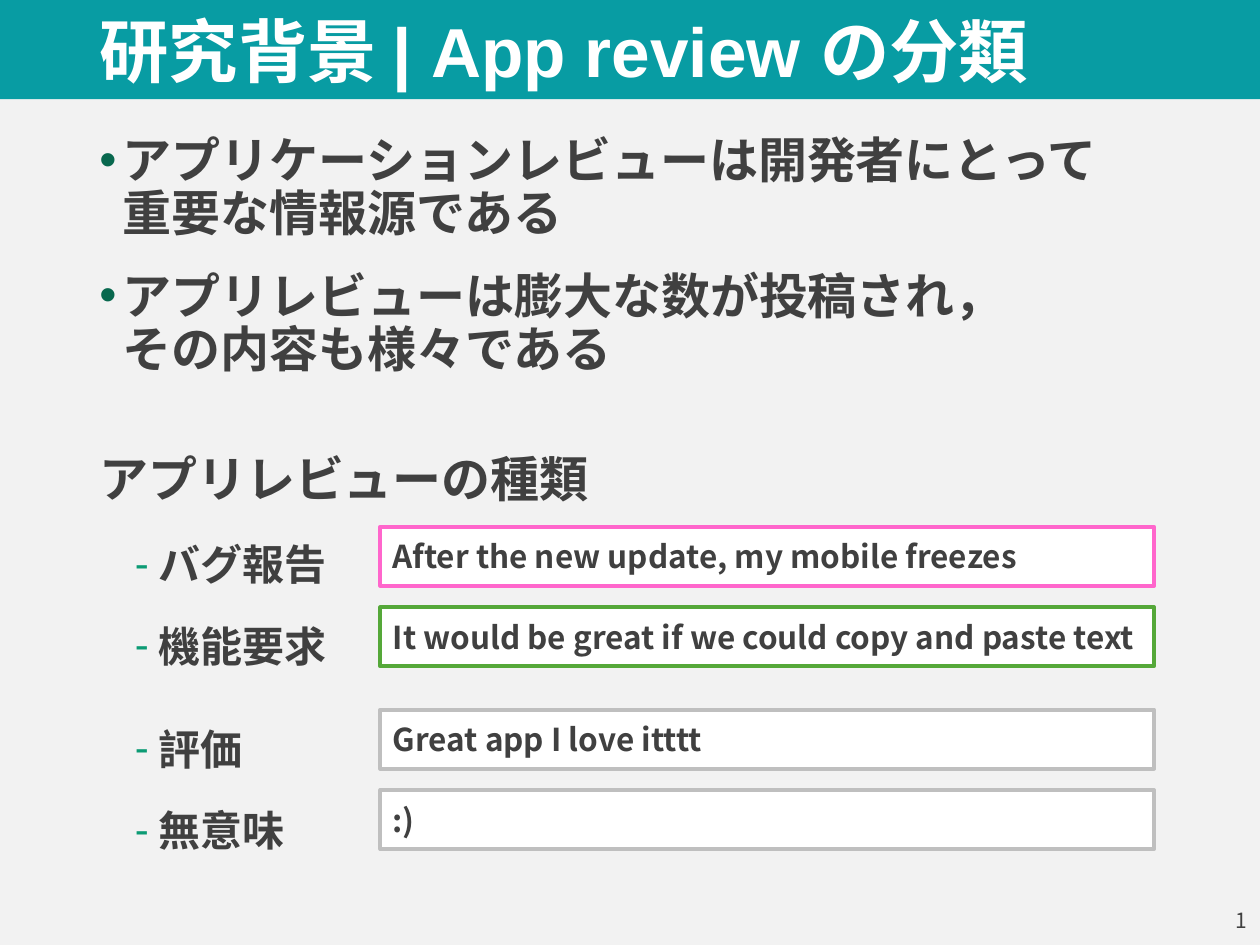
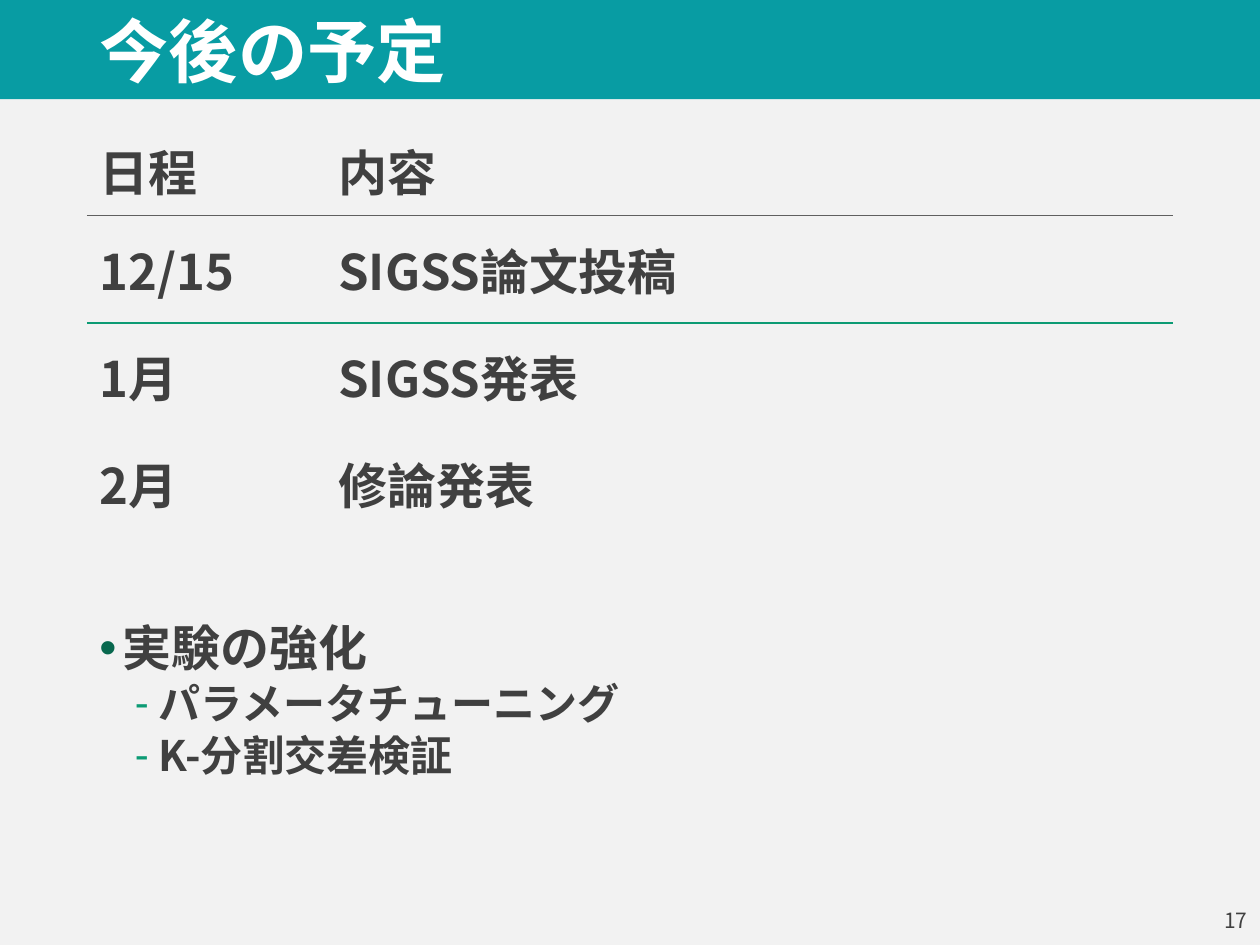
from lxml.etree import SubElement
from pptx import Presentation
from pptx.dml.color import RGBColor
from pptx.enum.shapes import MSO_SHAPE
from pptx.enum.text import MSO_ANCHOR, MSO_AUTO_SIZE, PP_ALIGN
from pptx.oxml.ns import qn
from pptx.util import Pt

COLORS = {
    "page": "F2F2F2", "band": "089CA3", "white": "FFFFFF", "text": "404040",
    "dot": "08684E", "dash": "0C9B74", "rule": "606060",
    "pink": "FF66CC", "green": "55A839", "gray": "BFBFBF",
}
FONT = "Noto Sans CJK JP"
TITLE_FONT = "Arial"
LEFT, WIDTH = 49.7, 620.6
NO_TABLE_STYLE = "{2D5ABB26-0587-4C30-8999-92F81FD0307C}"

# Level: size, line height, left margin, bullet and bullet colour
LEVELS = {
    "point": (28, 30.3, 13.5, "•", "dot"),
    "heading": (28, 30.3, 0, None, None),
    "item": (24, 26, 33.75, "-", "dash"),
}
HANGING = 13.5

# Review kind, example, outline, extra space above
REVIEWS = [
    ("バグ報告", "After the new update, my mobile freezes", "pink", 0),
    ("機能要求", "It would be great if we could copy and paste text", "green", 0),
    ("評価", "Great app I love itttt", "gray", 12.5),
    ("無意味", ":)", "gray", 0),
]
SCHEDULE = [
    ("日程", "内容"),
    ("12/15", "SIGSS論文投稿"),
    ("1月", "SIGSS発表"),
    ("2月", "修論発表"),
]


def rgb(name):
    return RGBColor.from_string(COLORS[name])


def format_runs(para, size, color="text", bold=True, font=FONT):
    for span in para.runs:
        span.font.size = Pt(size)
        span.font.bold = bold
        span.font.name = font
        span.font.color.rgb = rgb(color)
        east_asian = SubElement(span.font._element, qn("a:ea"))
        east_asian.set("typeface", FONT)


def add_color(parent, color):
    SubElement(parent, qn("a:srgbClr")).set("val", COLORS[color])


def add_bullet(para, margin, mark, color):
    properties = para._p.get_or_add_pPr()
    properties.set("marL", str(Pt(margin)))
    properties.set("indent", str(-Pt(HANGING)))
    add_color(SubElement(properties, qn("a:buClr")), color)
    SubElement(properties, qn("a:buFont")).set("typeface", TITLE_FONT)
    SubElement(properties, qn("a:buChar")).set("char", mark)


def add_rectangle(page, left, top, width, height, fill, outline=None):
    shape = page.shapes.add_shape(
        MSO_SHAPE.RECTANGLE, Pt(left), Pt(top), Pt(width), Pt(height))
    shape.shadow.inherit = False
    shape.fill.solid()
    shape.fill.fore_color.rgb = rgb(fill)
    if outline:
        shape.line.color.rgb = rgb(outline)
        shape.line.width = Pt(2.25)
    else:
        shape.line.fill.background()
    return shape


def add_page(deck, title, number):
    page = deck.slides.add_slide(deck.slide_layouts[5])

    # Band behind the title
    band = add_rectangle(page, 0, 0, 720, 56.7, "band")
    page.shapes._spTree.insert(2, band._element)

    # Title
    box = page.shapes.title
    box.left, box.top, box.width, box.height = Pt(LEFT), Pt(6.3), Pt(WIDTH), Pt(50.4)
    frame = box.text_frame
    frame.text = title
    frame.auto_size = MSO_AUTO_SIZE.NONE
    frame.vertical_anchor = MSO_ANCHOR.MIDDLE
    para = frame.paragraphs[0]
    para.alignment = PP_ALIGN.LEFT
    para.line_spacing = 0.9
    format_runs(para, 39.6, "white", font=TITLE_FONT)

    # Page number
    box = page.shapes.add_textbox(Pt(558), Pt(511.2), Pt(162), Pt(28.8))
    frame = box.text_frame
    frame.word_wrap = True
    frame.vertical_anchor = MSO_ANCHOR.MIDDLE
    frame.text = str(number)
    para = frame.paragraphs[0]
    para.alignment = PP_ALIGN.RIGHT
    format_runs(para, 12, bold=False)
    return page


def add_outline(page, top, height, entries):
    """Each entry is its level, its text and the space before it."""
    box = page.shapes.add_textbox(Pt(LEFT), Pt(top), Pt(WIDTH), Pt(height))
    frame = box.text_frame
    frame.word_wrap = True
    for index, (level, text, space) in enumerate(entries):
        size, line_height, margin, mark, color = LEVELS[level]
        para = frame.add_paragraph() if index else frame.paragraphs[0]
        para.text = text
        para.line_spacing = Pt(line_height)
        para.space_before = Pt(space)
        if mark:
            add_bullet(para, margin, mark, color)
        format_runs(para, size)


def add_review(page, top, text, outline):
    box = add_rectangle(page, 217.4, top, 442.1, 33.8, "white", outline)
    frame = box.text_frame
    frame.word_wrap = True
    frame.vertical_anchor = MSO_ANCHOR.MIDDLE
    frame.text = text
    para = frame.paragraphs[0]
    para.alignment = PP_ALIGN.LEFT
    format_runs(para, 18)


def add_bottom_border(cell, color, width):
    properties = cell._tc.get_or_add_tcPr()
    line = SubElement(properties, qn("a:lnB"))
    line.set("w", str(Pt(width)))
    add_color(SubElement(line, qn("a:solidFill")), color)


def add_schedule(page):
    borders = {0: ("rule", 0.5), 1: ("dash", 1)}
    frame = page.shapes.add_table(
        len(SCHEDULE), 2, Pt(LEFT), Pt(71.3), Pt(WIDTH), Pt(235.8))
    table = frame.table
    table._tbl.tblPr.find(qn("a:tableStyleId")).text = NO_TABLE_STYLE
    table.first_row = table.horz_banding = False
    for column, width in zip(table.columns, (136.5, 484.1)):
        column.width = Pt(width)
    for index, texts in enumerate(SCHEDULE):
        table.rows[index].height = Pt(61.3 if index else 51.9)
        for cell, text in zip(table.rows[index].cells, texts):
            cell.text = text
            cell.vertical_anchor = MSO_ANCHOR.MIDDLE
            format_runs(cell.text_frame.paragraphs[0], 28)
            if index in borders:
                add_bottom_border(cell, *borders[index])
            cell.fill.background()


def build_background_page(deck):
    page = add_page(deck, "研究背景 | App review の分類", 1)
    entries = [
        ("point", "アプリケーションレビューは開発者にとって\v重要な情報源である", 0),
        ("point", "アプリレビューは膨大な数が投稿され，\vその内容も様々である", 16.6),
        ("heading", "アプリレビューの種類", 44.5),
    ]
    entries += [("item", kind, 20.5 + extra) for kind, _, _, extra in REVIEWS]
    add_outline(page, 74, 415, entries)

    # Example beside each kind of review
    top = 301
    for _, example, outline, extra in REVIEWS:
        top += extra
        add_review(page, top, example, outline)
        top += 46


def build_plan_page(deck):
    page = add_page(deck, "今後の予定", 17)
    add_schedule(page)
    add_outline(page, 352.8, 134, [
        ("point", "実験の強化", 0),
        ("item", "パラメータチューニング", 3.5),
        ("item", "K-分割交差検証", 3.5),
    ])


def main():
    deck = Presentation()
    deck.slide_width, deck.slide_height = Pt(720), Pt(540)
    fill = deck.slide_master.background.fill
    fill.solid()
    fill.fore_color.rgb = rgb("page")
    build_background_page(deck)
    build_plan_page(deck)
    deck.save("out.pptx")


if __name__ == "__main__":
    main()
